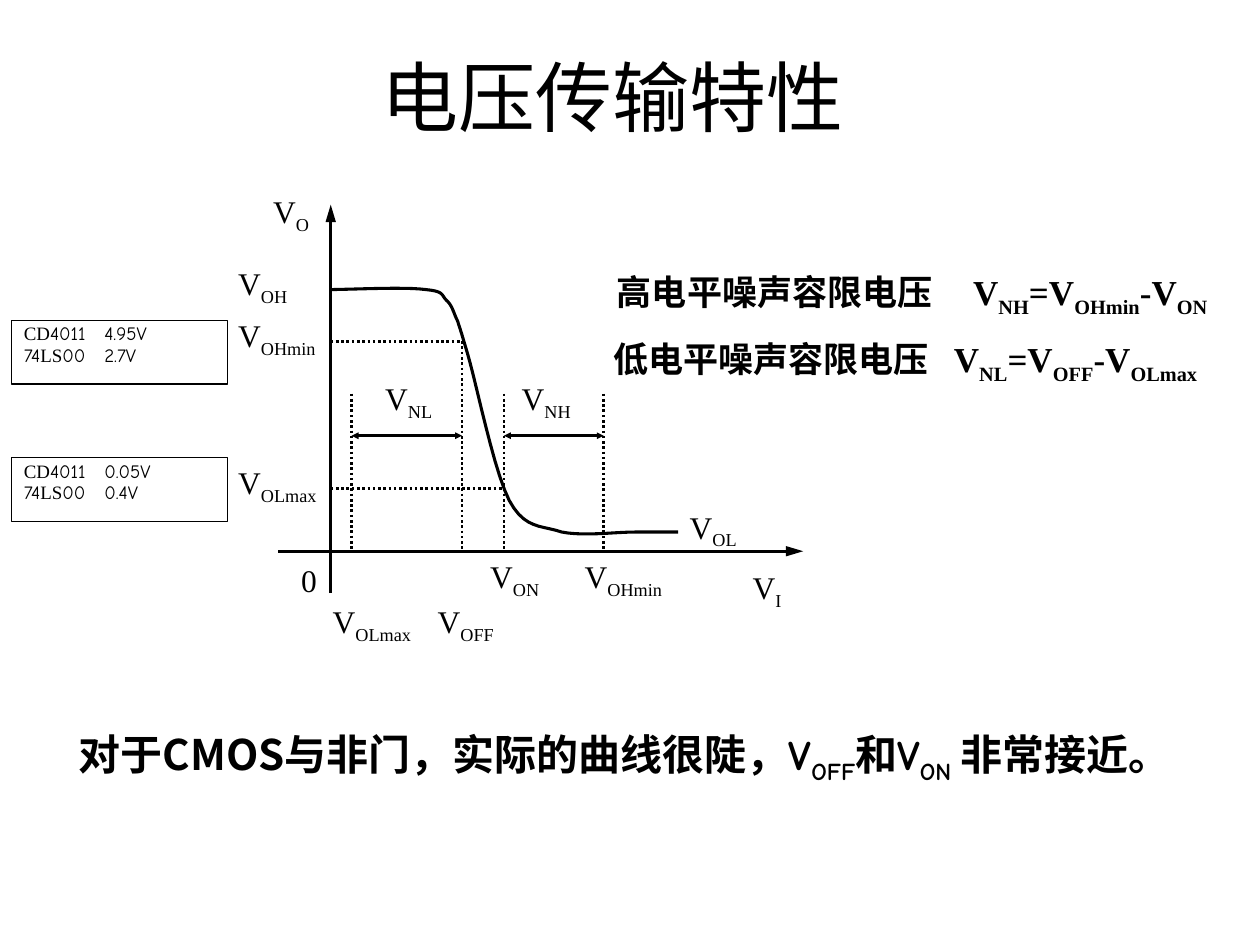
import dataclasses

import pptx
import pptx.util
import pptx.dml.color
import pptx.enum.dml
import pptx.enum.shapes
import pptx.enum.text
import pptx.oxml
import pptx.oxml.ns

Pt = pptx.util.Pt
NS = pptx.oxml.ns.nsdecls("a")


@dataclasses.dataclass(frozen=True)
class Theme:
    ink: pptx.dml.color.RGBColor = pptx.dml.color.RGBColor(0, 0, 0)
    serif: str = "Times New Roman"
    hand: str = "Comic Neue"
    cjk: str = "Noto Sans CJK SC"
    title: float = 44
    note: float = 24
    rule: float = 20
    label: float = 18
    small: float = 10.8
    axis: float = 1.75
    guide: float = 1.5
    frame: float = 0.75


T = Theme()

# Axes and the voltage levels marked on them
AXIS_X, AXIS_Y = 189, 315
OL_MAX, OFF, ON, OH_MIN = 201, 264, 288, 345
HIGH, LOW = 195, 279
TOP, SPAN = 225, 249

START = (189, 165.5)
CURVE = [
    ((211, 165), (232, 164), (243.5, 165.5)),
    ((254, 166.5), (252, 168.5), (255, 171.5)),
    ((258.5, 174.5), (259, 178.5), (261.5, 183.5)),
    ((263, 188.5), (262, 184.5), (267, 201.5)),
    ((272, 218), (282, 268.5), (291, 286)),
    ((300, 302.5), (309, 300), (321, 304)),
    ((333, 306.5), (352, 304), (363, 304)),
    ((374.5, 304), (383, 304), (387.5, 304)),
]

LABELS = [
    ("V_OH", 129, 147.5, 48), ("V_I", 423, 321, 48),
    ("V_OHmin", 129, 177, 66), ("V_OLmax", 129, 261, 66),
    ("V_OLmax", 183, 340.5, 66), ("V_OFF", 243, 340.5, 60),
    ("V_ON", 273, 315, 48), ("V_OHmin", 327, 315, 72),
    ("V_NL", 213, 213, 48), ("V_NH", 291, 213, 48),
    ("V_O", 149, 106, 48), ("V_OL", 387, 286.5, 48),
    ("0", 165, 317, 24),
]


def write(shape, *lines, size, bold=False, tab=None, gap=0, lead=None,
          align="LEFT", anchor="TOP", grow=False):
    """Fill a shape; a line lists (font, text), where _ toggles subscript."""
    frame = shape.text_frame
    frame.word_wrap = True
    frame.vertical_anchor = getattr(pptx.enum.text.MSO_ANCHOR, anchor)
    sizes = pptx.enum.text.MSO_AUTO_SIZE
    frame.auto_size = sizes.SHAPE_TO_FIT_TEXT if grow else sizes.NONE
    for i, line in enumerate(lines):
        para = frame.add_paragraph() if i else frame.paragraphs[0]
        if tab:
            para._p.get_or_add_pPr().append(pptx.oxml.parse_xml(
                f'<a:tabLst {NS}><a:tab pos="{Pt(tab)}" algn="l"/></a:tabLst>'))
        para.alignment = getattr(pptx.enum.text.PP_ALIGN, align)
        para.line_spacing = lead
        if i:
            para.space_before = Pt(gap)
        for face, text in line:
            for j, part in enumerate(text.split("_")):
                if part:
                    add_run(para, part, face, size, bold, sub=j % 2)


def add_run(para, text, face, size, bold, sub):
    run = para.add_run()
    run.text = text
    font = run.font
    font.name, font.size, font.bold = face, Pt(size), bold
    font.color.rgb = T.ink
    props = run._r.get_or_add_rPr()
    if sub:
        props.set("baseline", "-25000")
    props.find(pptx.oxml.ns.qn("a:latin")).addnext(
        pptx.oxml.parse_xml(f'<a:ea {NS} typeface="{T.cjk}"/>'))


def add_text(shapes, x, y, wide, high, *lines, **style):
    write(shapes.add_textbox(Pt(x), Pt(y), Pt(wide), Pt(high)), *lines, **style)


def add_box(shapes, x, y, wide, high, *lines, **style):
    box = shapes.add_shape(pptx.enum.shapes.MSO_SHAPE.RECTANGLE,
                           Pt(x), Pt(y), Pt(wide), Pt(high))
    box.shadow.inherit = False
    box.fill.background()
    box.line.color.rgb, box.line.width = T.ink, Pt(T.frame)
    write(box, *lines, **style)


def add_line(shapes, x1, y1, x2, y2, width=T.guide, dots=False, ends=(),
             head=("sm", "sm")):
    """Draw a line; ends names headEnd and tailEnd, head is (w, len)."""
    line = shapes.add_connector(pptx.enum.shapes.MSO_CONNECTOR.STRAIGHT,
                                Pt(x1), Pt(y1), Pt(x2), Pt(y2))
    line.line.color.rgb, line.line.width = T.ink, Pt(width)
    if dots:
        line.line.dash_style = pptx.enum.dml.MSO_LINE.ROUND_DOT
    for end in ends:
        line.line._get_or_add_ln().append(pptx.oxml.parse_xml(
            f'<a:{end} {NS} type="triangle" w="{head[0]}" len="{head[1]}"/>'))
    line._element.spPr.append(pptx.oxml.parse_xml(f"<a:effectLst {NS}/>"))


def trace(start, curve, steps=10):
    """Return points along a chain of cubic Bezier segments."""
    dots = []
    for a, b, end in curve:
        for i in range(1, steps + 1):
            t = i / steps
            u = 1 - t
            dots.append(tuple(
                Pt(u**3 * p + 3 * u * u * t * q + 3 * u * t * t * r + t**3 * s)
                for p, q, r, s in zip(start, a, b, end)))
        start = end
    return dots


def add_curve(shapes):
    pen = shapes.build_freeform(Pt(START[0]), Pt(START[1]))
    pen.add_line_segments(trace(START, CURVE), close=False)
    curve = pen.convert_to_shape()
    curve.shadow.inherit = False
    curve.fill.background()
    curve.line.color.rgb, curve.line.width = T.ink, Pt(T.axis)


def add_graph(shapes):
    for ends in ((AXIS_X, 339, AXIS_X, 117), (159, AXIS_Y, 459, AXIS_Y)):
        add_line(shapes, *ends, width=T.axis, ends=["tailEnd"],
                 head=("med", "lg"))
    add_curve(shapes)
    for y, x in ((HIGH, 267), (LOW, ON)):
        add_line(shapes, AXIS_X, y, x, y, dots=True)
    for x, y in ((OL_MAX, TOP), (OFF, HIGH), (ON, TOP), (OH_MIN, TOP)):
        add_line(shapes, x, y, x, AXIS_Y, dots=True)
    for x1, x2 in ((OL_MAX, OFF), (ON, OH_MIN)):
        add_line(shapes, x1, SPAN, x2, SPAN, ends=["headEnd", "tailEnd"])
    for text, x, y, wide in LABELS:
        add_text(shapes, x, y, wide, 31.5, [(T.serif, text)],
                 size=T.label, grow=True)


def main():
    deck = pptx.Presentation()
    deck.slide_width, deck.slide_height = Pt(720), Pt(540)
    shapes = deck.slides.add_slide(deck.slide_layouts[6]).shapes

    add_text(shapes, 19.5, 25, 661, 59, [(T.cjk, "电压传输特性")],
             size=T.title, align="CENTER", anchor="MIDDLE")
    add_graph(shapes.add_group_shape().shapes)

    for y, cmos, ttl in ((183, "4.95V", "2.7V"), (261.5, "0.05V", "0.4V")):
        add_box(shapes, 6.5, y, 123.5, 36.5,
                [(T.serif, "CD"), (T.hand, f"4011\t{cmos}")],
                [(T.hand, "74"), (T.serif, "LS"), (T.hand, f"00\t{ttl}")],
                size=T.small, tab=46, gap=1.8, lead=0.8)

    rules = [
        (345.5, 151, "高电平噪声容限电压\tV_NH_=V_OHmin_-V_ON", 203.5),
        (343.5, 189.5, "低电平噪声容限电压\tV_NL_=V_OFF_-V_OLmax", 194.5),
    ]
    for x, y, text, tab in rules:
        add_text(shapes, x, y, 369, 34.5, [(T.serif, text)],
                 size=T.rule, bold=True, tab=tab, grow=True)

    add_text(shapes, 38, 412.5, 649.5, 69,
             [(T.cjk, "对于CMOS与非门，实际的曲线很陡，"),
              (T.hand, "V_OFF_和V_ON "), (T.cjk, "非常接近。")],
             size=T.note, bold=True, grow=True)
    deck.save("out.pptx")


if __name__ == "__main__":
    main()
